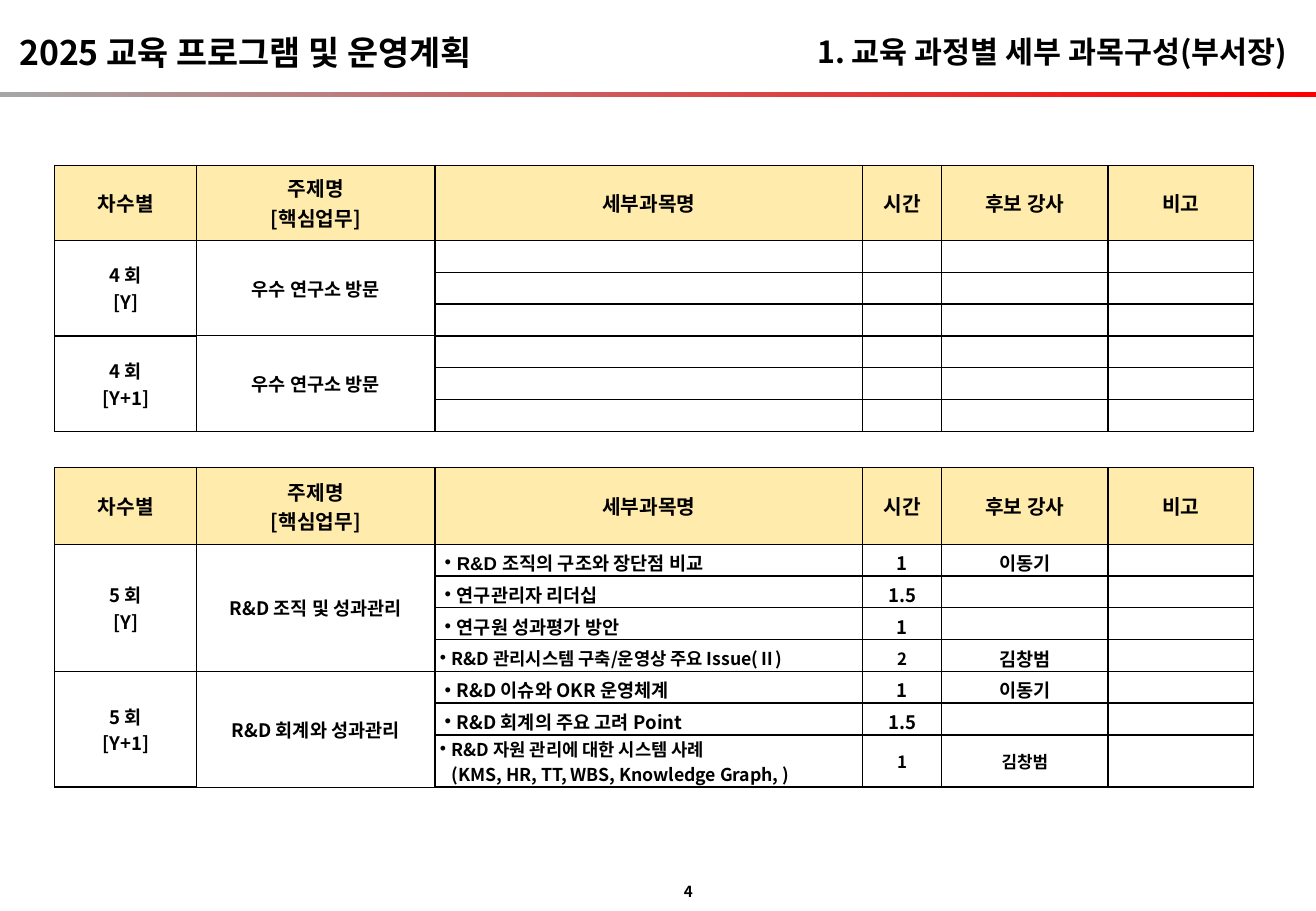
import pptx
import pptx.dml.color
import pptx.enum.shapes
import pptx.enum.text
import pptx.oxml.ns
import pptx.util
from lxml import etree

Inches = pptx.util.Inches
Pt = pptx.util.Pt
RGBColor = pptx.dml.color.RGBColor
ALIGN = pptx.enum.text.PP_ALIGN
ANCHOR = pptx.enum.text.MSO_ANCHOR
qn = pptx.oxml.ns.qn

BLACK = RGBColor(0x00, 0x00, 0x00)
HEADER_YELLOW = RGBColor(0xFF, 0xEB, 0xAB)
RULE_GREY = RGBColor(0xA6, 0xA6, 0xA6)
RULE_RED = RGBColor(0xFF, 0x00, 0x00)
KOREAN_FONT = "Noto Sans CJK KR"

HEADERS = ["차수별", "주제명\n[핵심업무]", "세부과목명", "시간", "후보 강사", "비고"]
COLUMN_WIDTHS = [1.17, 1.96, 3.52, 0.65, 1.37, 1.2]
LESSON_HEIGHT = 0.26
SUBJECT_COLUMN = 2

# Each session: round, topic, lessons; a lesson is subject, hours, lecturer and
# the sizes of those three, with the Latin font of the subject
REGULAR = (11, 11, 11)
VISIT_SESSIONS = [
    ("4 회\n[Y]", "우수 연구소 방문", [("", "", "", REGULAR, KOREAN_FONT)] * 3),
    ("4 회\n[Y+1]", "우수 연구소 방문", [("", "", "", REGULAR, KOREAN_FONT)] * 3),
]
RND_SESSIONS = [
    ("5 회\n[Y]", "R&D 조직 및 성과관리", [
        ("R&D 조직의 구조와 장단점 비교", "1", "이동기", REGULAR, "Arial"),
        ("연구관리자 리더십", "1.5", "", REGULAR, KOREAN_FONT),
        ("연구원 성과평가 방안", "1", "", REGULAR, KOREAN_FONT),
        ("R&D 관리시스템 구축/운영상 주요 Issue(Ⅱ)", "2", "김창범",
         (10.5, 10, 11), KOREAN_FONT),
    ]),
    ("5 회\n[Y+1]", "R&D 회계와 성과관리", [
        ("R&D 이슈와 OKR 운영체계", "1", "이동기", REGULAR, KOREAN_FONT),
        ("R&D 회계의 주요 고려 Point", "1.5", "", REGULAR, KOREAN_FONT),
        ("R&D 자원 관리에 대한 시스템 사례\n(KMS, HR, TT, WBS, Knowledge Graph, )",
         "1", "김창범", (10.5, 10, 10), KOREAN_FONT),
    ]),
]


def style_paragraph(paragraph, size, align, latin=KOREAN_FONT):
    paragraph.alignment = align
    font = paragraph.font
    font.size = Pt(size)
    font.bold = True
    font.color.rgb = BLACK
    font.name = latin
    properties = paragraph._p.pPr.find(qn("a:defRPr"))
    etree.SubElement(properties, qn("a:ea"), typeface=KOREAN_FONT)


def add_bullet(paragraph):
    properties = paragraph._p.get_or_add_pPr()
    properties.set("marL", str(Inches(0.1)))
    properties.set("indent", str(-Inches(0.1)))
    etree.SubElement(properties, qn("a:buFont"), typeface="Arial")
    etree.SubElement(properties, qn("a:buChar"), char="•")


def place_text(shape, box, text, size, align, anchor):
    shape.left, shape.top, shape.width, shape.height = map(Inches, box)
    frame = shape.text_frame
    frame.word_wrap = True
    frame.auto_size = pptx.enum.text.MSO_AUTO_SIZE.NONE
    frame.vertical_anchor = anchor
    frame.text = text
    style_paragraph(frame.paragraphs[0], size, align)


def add_heading(slide, width):
    # Gradient rule under the heading
    rule = slide.shapes.add_shape(pptx.enum.shapes.MSO_SHAPE.RECTANGLE,
                                  0, Inches(0.76), Inches(width), Inches(0.04))
    rule.shadow.inherit = False
    rule.line.fill.background()
    rule.fill.gradient()
    rule.fill.gradient_angle = 0
    for stop, position, color in zip(rule.fill.gradient_stops, (0, 1), (RULE_GREY, RULE_RED)):
        stop.position = position
        stop.color.rgb = color
    # Section title on the right, programme name on the left
    place_text(slide.shapes.title, (width - 4.63, 0.22, 4.49, 0.4),
               "1. 교육 과정별 세부 과목구성(부서장)", 18, ALIGN.RIGHT, ANCHOR.MIDDLE)
    place_text(slide.shapes.add_textbox(0, 0, 0, 0), (0.06, 0.21, 4.5, 0.44),
               "2025 교육 프로그램 및 운영계획", 20, ALIGN.LEFT, ANCHOR.TOP)


def set_borders(cell, row, column):
    widths = {
        "a:lnL": 1 if column in (3, 4, 5) else 0.75,
        "a:lnR": 1 if column in (2, 3, 4) else 0.75,
        "a:lnT": 1 if row > 1 and column != 1 else 0.75,
        "a:lnB": 1 if row > 0 and column != 1 else 0.75,
    }
    properties = cell._tc.get_or_add_tcPr()
    for index, (tag, width) in enumerate(widths.items()):
        line = etree.Element(qn(tag), w=str(Pt(width)))
        fill = etree.SubElement(line, qn("a:solidFill"))
        etree.SubElement(fill, qn("a:srgbClr"), val=str(BLACK))
        properties.insert(index, line)


def fill_cell(cell, text, size, side=0.04, top=0.04, bottom=0.04,
              bullet=False, latin=KOREAN_FONT):
    cell.vertical_anchor = ANCHOR.MIDDLE
    cell.margin_left = cell.margin_right = Inches(side)
    cell.margin_top, cell.margin_bottom = Inches(top), Inches(bottom)
    if bullet:
        cell.text_frame.paragraphs[0].text = text
        add_bullet(cell.text_frame.paragraphs[0])
    else:
        cell.text = text
    for paragraph in cell.text_frame.paragraphs:
        style_paragraph(paragraph, size, ALIGN.LEFT if bullet else ALIGN.CENTER, latin)
        if not text:
            etree.SubElement(paragraph._p, qn("a:endParaRPr"), sz=str(size * 100))


def add_course_table(slide, left, top, header_height, sessions):
    lessons = [lesson for session in sessions for lesson in session[2]]
    heights = [header_height] + [0.43 if "\n" in lesson[0] else LESSON_HEIGHT
                                 for lesson in lessons]
    table = slide.shapes.add_table(
        len(heights), len(HEADERS), Inches(left), Inches(top),
        Inches(sum(COLUMN_WIDTHS)), Inches(sum(heights))).table
    table.first_row = table.horz_banding = False
    for column, width in zip(table.columns, COLUMN_WIDTHS):
        column.width = Inches(width)
    for row, height in zip(table.rows, heights):
        row.height = Inches(height)

    # Grid lines and fills
    for row in range(len(heights)):
        for column in range(len(HEADERS)):
            cell = table.cell(row, column)
            if row == 0:
                cell.fill.solid()
                cell.fill.fore_color.rgb = HEADER_YELLOW
            else:
                cell.fill.background()
            set_borders(cell, row, column)

    # Header row
    for column, header in enumerate(HEADERS):
        fill_cell(table.cell(0, column), header, 12)

    # Lesson rows
    for row, (subject, hours, lecturer, sizes, latin) in enumerate(lessons, 1):
        tall = "\n" in subject
        for offset, (text, size) in enumerate(zip((subject, hours, lecturer, ""), sizes + (11,))):
            is_subject = offset == 0
            fill_cell(table.cell(row, SUBJECT_COLUMN + offset), text, size,
                      side=0.04 if is_subject and size < 11 else 0.08,
                      top=0 if tall else 0.04, bottom=0,
                      bullet=is_subject and bool(text),
                      latin=latin if is_subject else KOREAN_FONT)

    # Round and topic cells span the lessons of their session
    first = 1
    for round_name, topic, session_lessons in sessions:
        last = first + len(session_lessons) - 1
        for column, text in enumerate((round_name, topic)):
            for row in range(first + 1, last + 1):
                fill_cell(table.cell(row, column), "", 11, top=0, bottom=0)
            table.cell(first, column).merge(table.cell(last, column))
            fill_cell(table.cell(first, column), text, 11)
        first = last + 1


def main():
    presentation = pptx.Presentation()
    presentation.slide_width, presentation.slide_height = Inches(10.83), Inches(7.5)
    slide = presentation.slides.add_slide(presentation.slide_layouts[5])
    add_heading(slide, 10.83)
    add_course_table(slide, 0.45, 3.85, 0.63, RND_SESSIONS)
    add_course_table(slide, 0.45, 1.36, 0.62, VISIT_SESSIONS)
    # Page number
    place_text(slide.shapes.add_textbox(0, 0, 0, 0), (5.52, 7.21, 0.28, 0.25),
               "4", 9, ALIGN.RIGHT, ANCHOR.MIDDLE)
    presentation.save("out.pptx")


if __name__ == "__main__":
    main()
